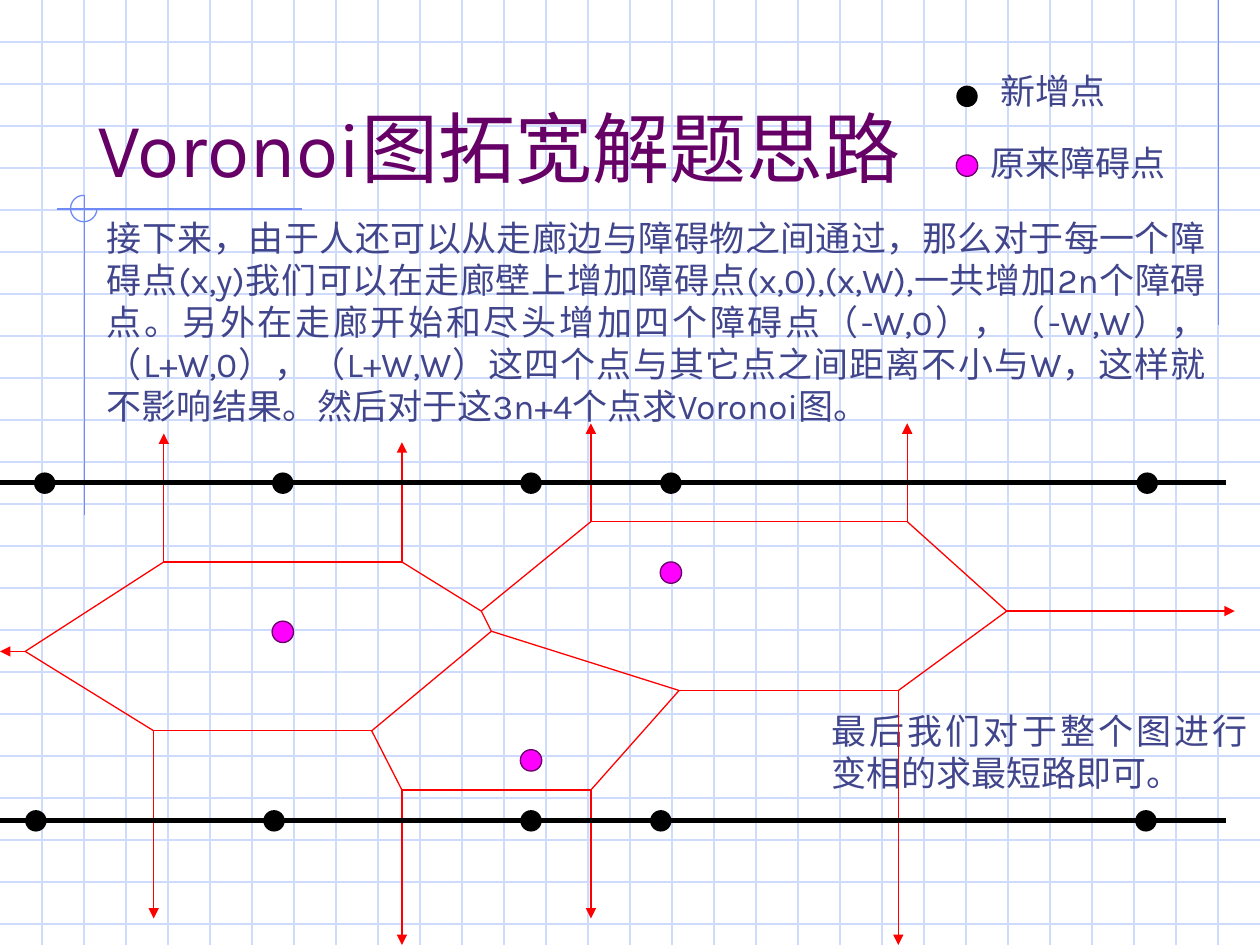
from itertools import groupby
from pptx import Presentation
from pptx import util as u
from pptx.dml.color import RGBColor
from pptx.enum import shapes, text
from pptx.oxml.ns import qn
from lxml import etree

# Content
TITLE = "Voronoi图拓宽解题思路"
BODY = ("接下来，由于人还可以从走廊边与障碍物之间通过，那么对于每一个障碍点(x,y)"
        "我们可以在走廊壁上增加障碍点(x,0),(x,W),一共增加2n个障碍点。"
        "另外在走廊开始和尽头增加四个障碍点（-W,0），（-W,W），（L+W,0），（L+W,W）"
        "这四个点与其它点之间距离不小与W，这样就不影响结果。"
        "然后对于这3n+4个点求Voronoi图。")
CLOSING = "最后我们对于整个图进行变相的求最短路即可。"
LEGEND = [("新增点", "000000", 0.68, (7.84, 0.5, 1.03, 0.44)),
          ("原来障碍点", "FF00FF", 1.23, (7.76, 1.07, 1.59, 0.44))]

GRID, ACCENT, RED, BLACK = "CFDBFD", "6F89F7", "FF0000", "000000"
MAGENTA, PURPLE, INK = "FF00FF", "660066", "40458C"
DOT = 0.17

# Corridor walls and the left edges of the points on them
WALLS = [(3.83, 3.75, [0.27, 2.16, 4.13, 5.24, 9.02]),
         (6.51, 6.43, [0.2, 2.09, 4.13, 5.16, 9.01])]
OBSTACLES = [(2.16, 4.93), (5.24, 4.46), (4.13, 5.95)]

# Voronoi vertices, edges between them, and rays leaving the diagram
V = dict(a=(0.2, 5.17), b=(1.3, 4.46), c=(3.19, 4.46), d=(3.82, 4.85),
         e=(3.9, 5.01), f=(2.95, 5.8), g=(1.22, 5.8), h=(3.19, 6.27),
         i=(4.69, 6.27), j=(5.39, 5.48), k=(4.69, 4.14), l=(7.2, 4.14),
         m=(7.99, 4.85), n=(7.13, 5.48))
EDGES = "ag gf ef ab bc cd de fh hi ij ej dk kl jn nm lm".split()
RAYS = dict(m=(9.8, 4.85), n=(7.13, 7.5), l=(7.2, 3.36), k=(4.69, 3.36),
            i=(4.69, 7.29), h=(3.19, 7.5), c=(3.19, 3.51), b=(1.3, 3.44),
            g=(1.22, 7.29), a=(0, 5.17))

prs = Presentation()
prs.slide_width, prs.slide_height = u.Inches(10), u.Inches(7.5)
s = prs.slides.add_slide(prs.slide_layouts[5])


def rgb(color):
    return RGBColor.from_string(color)


def inches(values):
    return [u.Inches(v) for v in values]


def line(start, end, color, width=0.74, arrow=False):
    sp = s.shapes.add_connector(shapes.MSO_CONNECTOR.STRAIGHT,
                                *inches([*start, *end]))
    sp.line.color.rgb = rgb(color)
    sp.line.width = u.Pt(width)
    if arrow:
        etree.SubElement(sp.line._get_or_add_ln(), qn("a:tailEnd"), type="triangle")
    etree.SubElement(sp._element.spPr, qn("a:effectLst"))


def dot(x, y, color):
    sp = s.shapes.add_shape(shapes.MSO_SHAPE.OVAL, *inches([x, y, DOT, DOT]))
    sp.shadow.inherit = False
    sp.fill.solid()
    sp.fill.fore_color.rgb = rgb(color)
    if color == MAGENTA:
        sp.line.color.rgb = rgb(PURPLE)
        sp.line.width = u.Pt(0.74)
    else:
        sp.line.fill.background()


def write(tf, words, size=20, color=INK, align="LEFT", anchor="TOP",
          wrap=True, font=None):
    """Without a font, Latin and Chinese runs each get their own."""
    tf.word_wrap = wrap
    tf.auto_size = text.MSO_AUTO_SIZE.NONE
    tf.vertical_anchor = getattr(text.MSO_ANCHOR, anchor)
    p = tf.paragraphs[0]
    p.alignment = getattr(text.PP_ALIGN, align)
    # Keep punctuation inside the right edge
    p._p.get_or_add_pPr().set("hangingPunct", "0")
    parts = [(True, words)] if font else groupby(words, str.isascii)
    for latin, chars in parts:
        r = p.add_run()
        r.text = "".join(chars)
        r.font.name = font or ("Karla" if latin else "Times New Roman")
        r.font.size = u.Pt(size)
        r.font.color.rgb = rgb(color)


def label(box, words, **fmt):
    write(s.shapes.add_textbox(*inches(box)).text_frame, words, **fmt)


# Squared paper, three squares to the inch
for n in range(1, 23):
    line((0, n / 3), (10, n / 3), GRID)
for n in range(1, 30):
    line((n / 3, 0), (n / 3, 7.5), GRID)

# Margin ornament
line((9.67, 0), (9.67, 2.58), ACCENT)
line((2.4, 1.66), (0.45, 1.66), ACCENT)
line((0.67, 1.55), (0.67, 4.09), ACCENT)
arc = s.shapes.add_shape(shapes.MSO_SHAPE.ARC, *inches([0.56, 1.55, 0.21, 0.21]))
arc.shadow.inherit = False
arc.adjustments[0], arc.adjustments[1] = 0, 162
arc.fill.background()
arc.line.color.rgb = rgb(ACCENT)
arc.line.width = u.Pt(0.74)

# Title, moved in front of the paper, and text
title = s.shapes.title
title.left, title.top, title.width, title.height = inches([0.67, 0.33, 8.5, 1.25])
s.shapes._spTree.append(title._element)
write(title.text_frame, TITLE, size=44, color=PURPLE, anchor="BOTTOM", font="Karla")
label((0.75, 1.67, 8.92, 1.77), BODY, align="JUSTIFY")
label((6.5, 5.58, 3.5, 0.77), CLOSING, align="JUSTIFY")

# Points and Voronoi diagram
for wall_y, dot_y, xs in WALLS:
    for x in xs:
        dot(x, dot_y, BLACK)
for x, y in OBSTACLES:
    dot(x, y, MAGENTA)
for start, end in EDGES:
    line(V[start], V[end], RED)
for start, end in RAYS.items():
    line(V[start], end, RED, arrow=True)
for wall_y, dot_y, xs in WALLS:
    line((0, wall_y), (9.73, wall_y), BLACK, width=3)

# Legend
for words, color, y, box in LEGEND:
    dot(7.59, y, color)
    label(box, words, wrap=False)

prs.save("out.pptx")
